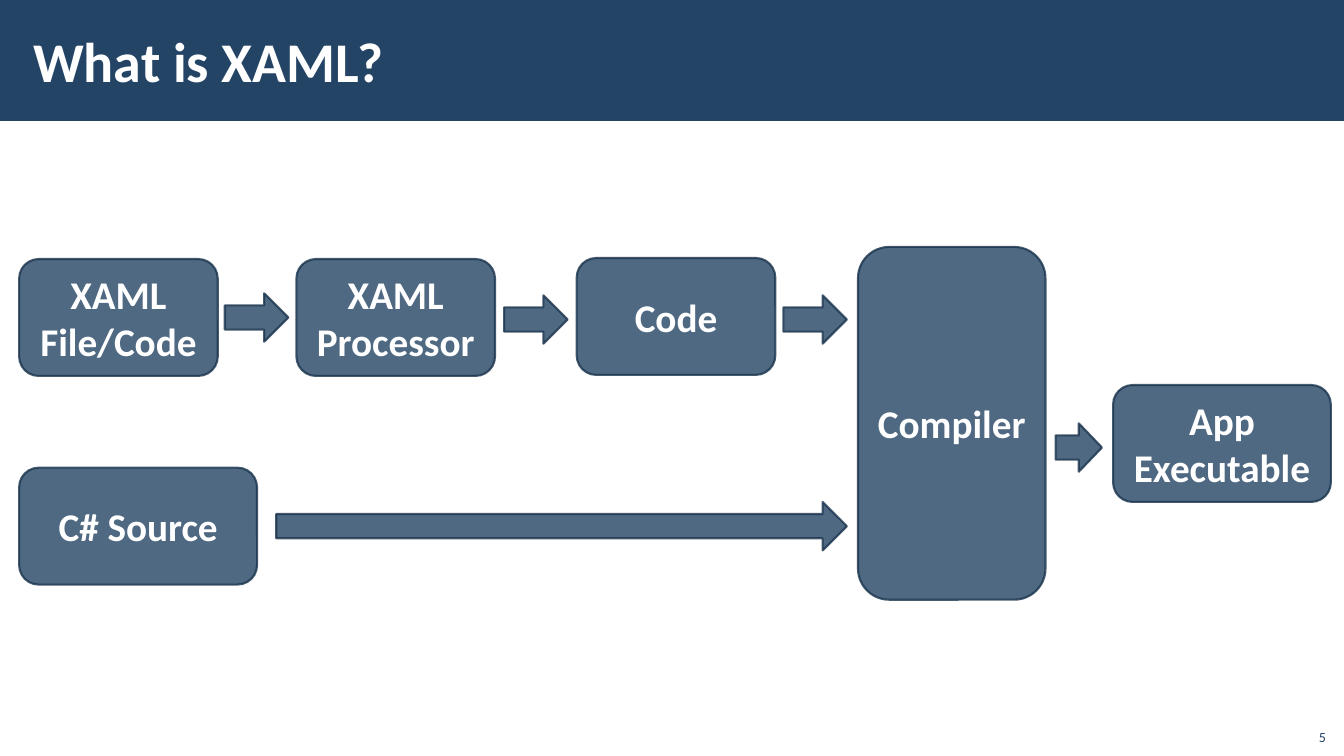
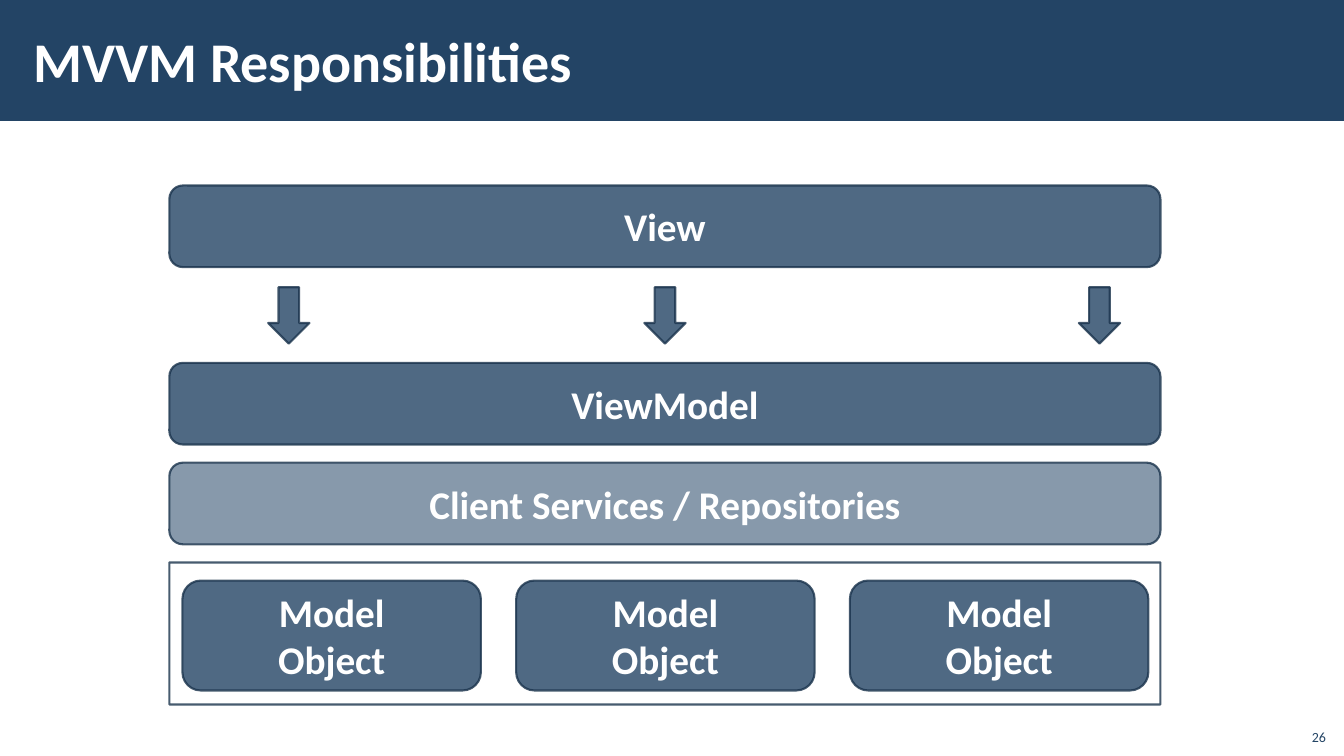
from pptx import Presentation
from pptx.dml.color import RGBColor
from pptx.enum.shapes import MSO_SHAPE as SHAPE
from pptx.enum.text import MSO_ANCHOR as ANCHOR, PP_ALIGN as ALIGN
from pptx.oxml.ns import qn
from pptx.util import Inches, Pt
from lxml.etree import SubElement

NAVY = RGBColor(0x23, 0x44, 0x65)
DARK_NAVY = RGBColor(0x1A, 0x33, 0x4C)
WHITE = RGBColor(0xFF, 0xFF, 0xFF)
FONT = "Calibri"

deck = Presentation()
deck.slide_width, deck.slide_height = Inches(13.33), Inches(7.5)
layout = deck.slide_layouts.get_by_name("Title Only")
title_place = layout.placeholders[0]
title_place.left, title_place.top = Inches(0.21), Inches(0.11)
title_place.width, title_place.height = Inches(10.63), Inches(0.97)


def add_page(title, number):
    page = deck.slides.add_slide(layout)
    frame = page.shapes.title.text_frame
    frame.text = title
    frame.vertical_anchor = ANCHOR.MIDDLE
    frame.margin_left = frame.margin_right = Inches(0.12)
    frame.margin_top = frame.margin_bottom = Inches(0.04)
    footer = page.shapes.add_textbox(Inches(12.85), Inches(7.12), Inches(0.4), Inches(0.32))
    footer.text_frame.text = number
    footer.text_frame.word_wrap = True
    footer.text_frame.vertical_anchor = ANCHOR.BOTTOM
    for para, size, color, align in ((frame.paragraphs[0], 40, WHITE, ALIGN.LEFT),
                                     (footer.text_frame.paragraphs[0], 10, NAVY, ALIGN.RIGHT)):
        para.alignment = align
        para.font.name, para.font.size = FONT, Pt(size)
        para.font.bold = size == 40
        para.font.color.rgb = color
    return page


def add_block(page, kind, left, top, width, height, text="", opacity=80):
    """Add a translucent navy shape with a dark outline; opacity 0 leaves it unfilled."""
    block = page.shapes.add_shape(kind, Inches(left), Inches(top), Inches(width), Inches(height))
    block.shadow.inherit = False
    block.line.color.rgb = DARK_NAVY
    block.line.width = Pt(1.5)
    fills = [(block.line.fill, 80)]
    if opacity:
        block.fill.solid()
        block.fill.fore_color.rgb = NAVY
        fills.append((block.fill, opacity))
    else:
        block.fill.background()
    for fill, percent in fills:
        color = fill._xPr.find(qn("a:solidFill")).find(qn("a:srgbClr"))
        SubElement(color, qn("a:alpha"), val=str(percent * 1000))
    if text:
        frame = block.text_frame
        frame.text = text
        frame.word_wrap = True
        frame.vertical_anchor = ANCHOR.MIDDLE
        frame.margin_left = frame.margin_right = Inches(0.05)
        para = frame.paragraphs[0]
        para.alignment = ALIGN.CENTER
        para.font.name, para.font.size, para.font.bold = FONT, Pt(28), True
        para.font.color.rgb = WHITE


# Slide 1: from XAML to an executable
flow = add_page("What is XAML?", "5")

# The title band belongs to the layout, behind its placeholders
band = flow.shapes.add_shape(SHAPE.RECTANGLE, 0, 0, deck.slide_width, Inches(1.2))
band.shadow.inherit = False
band.fill.solid()
band.fill.fore_color.rgb = NAVY
band.line.fill.background()
layout.shapes._spTree.insert(2, band._element)

for text, left, top, width, height in (
    ("XAML File/Code", 0.19, 2.57, 1.97, 1.16),
    ("XAML Processor", 2.94, 2.57, 1.97, 1.16),
    ("Code", 5.72, 2.56, 1.97, 1.16),
    ("Compiler", 8.51, 2.45, 1.86, 3.5),
    ("C# Source", 0.19, 4.64, 2.36, 1.16),
    ("App\vExecutable", 11.04, 3.82, 2.16, 1.16),
):
    add_block(flow, SHAPE.ROUNDED_RECTANGLE, left, top, width, height, text)

for left, top, width in ((2.23, 2.91, 0.63), (5, 2.93, 0.63), (7.77, 2.93, 0.63),
                         (2.74, 4.98, 5.66), (10.47, 4.2, 0.46)):
    add_block(flow, SHAPE.RIGHT_ARROW, left, top, width, 0.48)

# Slide 2: the layers of MVVM
layers = add_page("MVVM Responsibilities", "26")
LAYER_LEFT, LAYER_WIDTH = 1.68, 9.83

for text, top, opacity in (("View", 1.84, 80), ("ViewModel", 3.6, 80),
                           ("Client Services / Repositories", 4.59, 54)):
    add_block(layers, SHAPE.ROUNDED_RECTANGLE, LAYER_LEFT, top, LAYER_WIDTH, 0.81, text, opacity)

for left in (2.66, 6.39, 10.7):
    add_block(layers, SHAPE.DOWN_ARROW, left, 2.85, 0.41, 0.56)

for column in range(3):
    add_block(layers, SHAPE.ROUNDED_RECTANGLE, 1.81 + column * 3.31, 5.76, 2.96, 1.09,
              "Model\vObject")
add_block(layers, SHAPE.RECTANGLE, LAYER_LEFT, 5.58, LAYER_WIDTH, 1.41, opacity=0)

deck.save("out.pptx")
